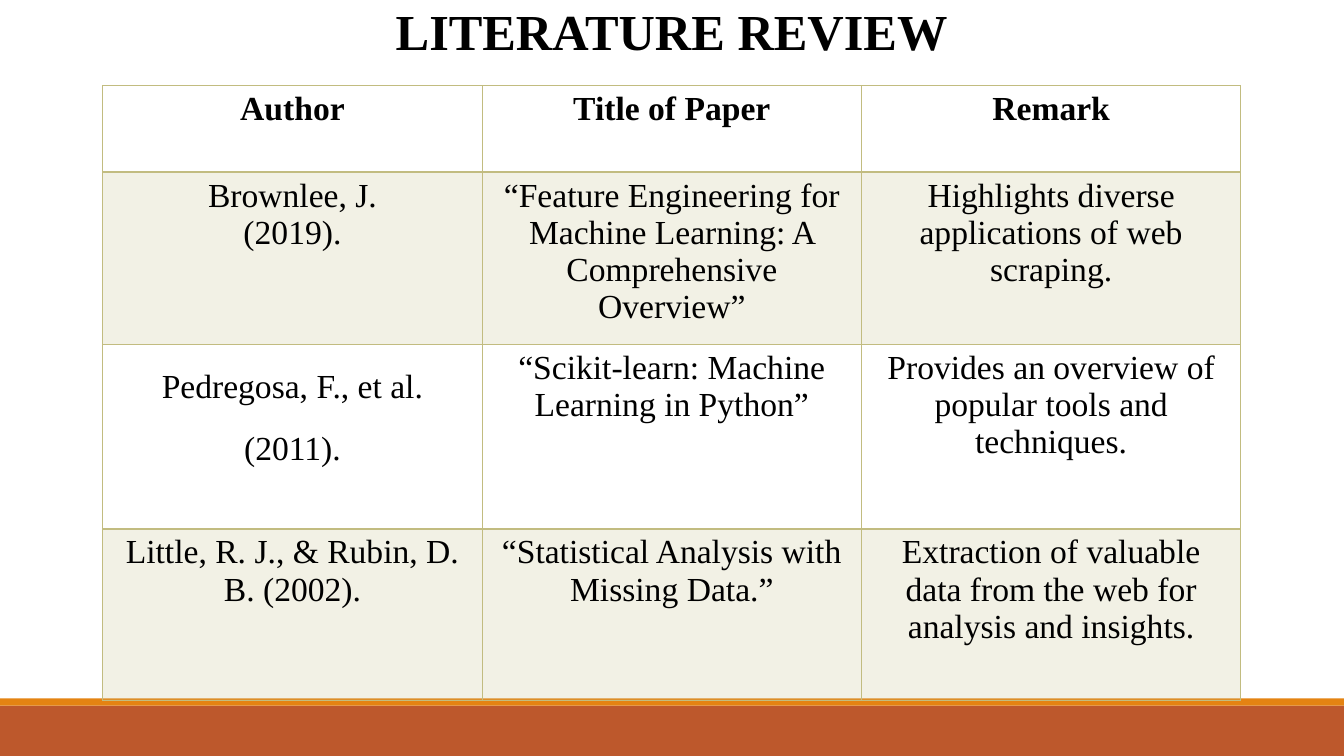
"""Build the literature review slide with its table of papers."""
from lxml import etree
from pptx import Presentation
from pptx.dml.color import RGBColor
from pptx.enum.shapes import MSO_SHAPE
from pptx.enum.text import PP_ALIGN
from pptx.oxml.ns import qn
from pptx.util import Cm, Pt

RECTANGLE = MSO_SHAPE.RECTANGLE
CENTER = PP_ALIGN.CENTER
BLACK = RGBColor(0x00, 0x00, 0x00)
RUST = RGBColor(0xBD, 0x58, 0x2C)
ORANGE = RGBColor(0xE4, 0x83, 0x12)
OLIVE = RGBColor(0xC2, 0xBC, 0x80)
PAGE_WIDTH, PAGE_HEIGHT = 33.87, 19.05

HEADINGS = ["Author", "Title of Paper", "Remark"]
PAPERS = [
    ["Brownlee, J.\n(2019).",
     "“Feature Engineering for Machine Learning: A Comprehensive Overview”",
     "Highlights diverse applications of web scraping."],
    ["Pedregosa, F., et al.\n(2011).",
     "“Scikit-learn: Machine Learning in Python”",
     "Provides an overview of popular tools and techniques."],
    ["Little, R. J., & Rubin, D. B. (2002).",
     "“Statistical Analysis with Missing Data.”",
     "Extraction of valuable data from the web for analysis and insights."],
]
SPACED_CELL = (2, 0)
COLUMN_WIDTH = 9.56
ROW_HEIGHTS = [2.18, 4.34, 4.65, 4.32]


def write_text(frame, text, size=24, bold=False, font="Times New Roman",
               color=BLACK, line_spacing=None, space_after=None):
    frame.word_wrap = True
    for index, line in enumerate(text.split("\n")):
        para = frame.add_paragraph() if index else frame.paragraphs[0]
        para.alignment = CENTER
        para.line_spacing = line_spacing
        para.space_after = space_after
        span = para.add_run()
        span.text = line
        span.font.name = font
        span.font.size = Pt(size)
        span.font.bold = bold
        span.font.color.rgb = color


class ReviewPage:
    def __init__(self, page, border=OLIVE, tint=20):
        self.page = page
        self.border = border
        self.tint = tint

    def band(self, top, height, color):
        box = self.page.shapes.add_shape(
            RECTANGLE, 0, Cm(top), Cm(PAGE_WIDTH), Cm(height))
        box.shadow.inherit = False
        box.fill.solid()
        box.fill.fore_color.rgb = color
        box.line.fill.background()

    def title(self, text, left, top, width, height):
        box = self.page.shapes.add_textbox(
            Cm(left), Cm(top), Cm(width), Cm(height))
        write_text(box.text_frame, text, size=36, bold=True)

    def shade(self, cell):
        cell.fill.solid()
        cell.fill.fore_color.rgb = self.border
        color = cell._tc.tcPr.find(".//" + qn("a:srgbClr"))
        etree.SubElement(color, qn("a:alpha"), val=str(self.tint * 1000))

    def outline(self, cell, top=1, bottom=1):
        sides = {"lnL": 1, "lnR": 1, "lnT": top, "lnB": bottom}
        for index, (side, width) in enumerate(sides.items()):
            line = etree.Element(qn("a:" + side), w=str(Pt(width)))
            fill = etree.SubElement(line, qn("a:solidFill"))
            etree.SubElement(fill, qn("a:srgbClr"), val=str(self.border))
            cell._tc.tcPr.insert(index, line)

    def table(self, rows, left, top):
        frame = self.page.shapes.add_table(
            len(rows), len(HEADINGS), Cm(left), Cm(top),
            Cm(COLUMN_WIDTH * len(HEADINGS)), Cm(sum(ROW_HEIGHTS)))
        table = frame.table
        table.horz_banding = False
        for column in table.columns:
            column.width = Cm(COLUMN_WIDTH)
        for row, texts in enumerate(rows):
            table.rows[row].height = Cm(ROW_HEIGHTS[row])
            for column, text in enumerate(texts):
                cell = table.cell(row, column)
                spacing = {}
                if (row, column) == SPACED_CELL:
                    spacing = {"line_spacing": 1.5, "space_after": Pt(5)}
                write_text(cell.text_frame, text, bold=row == 0, **spacing)
                if row % 2:
                    self.shade(cell)
                else:
                    cell.fill.background()
                self.outline(cell, top=2 if row == 1 else 1,
                             bottom=2 if row == 0 else 1)


def main():
    deck = Presentation()
    deck.slide_width, deck.slide_height = Cm(PAGE_WIDTH), Cm(PAGE_HEIGHT)
    review = ReviewPage(deck.slides.add_slide(deck.slide_layouts[6]))
    review.band(17.78, 1.27, RUST)
    review.band(17.6, 0.18, ORANGE)
    review.title("LITERATURE REVIEW", 6.15, -0.13, 21.56, 1.8)
    review.table([HEADINGS] + PAPERS, 2.59, 2.16)
    deck.save("out.pptx")


if __name__ == "__main__":
    main()
